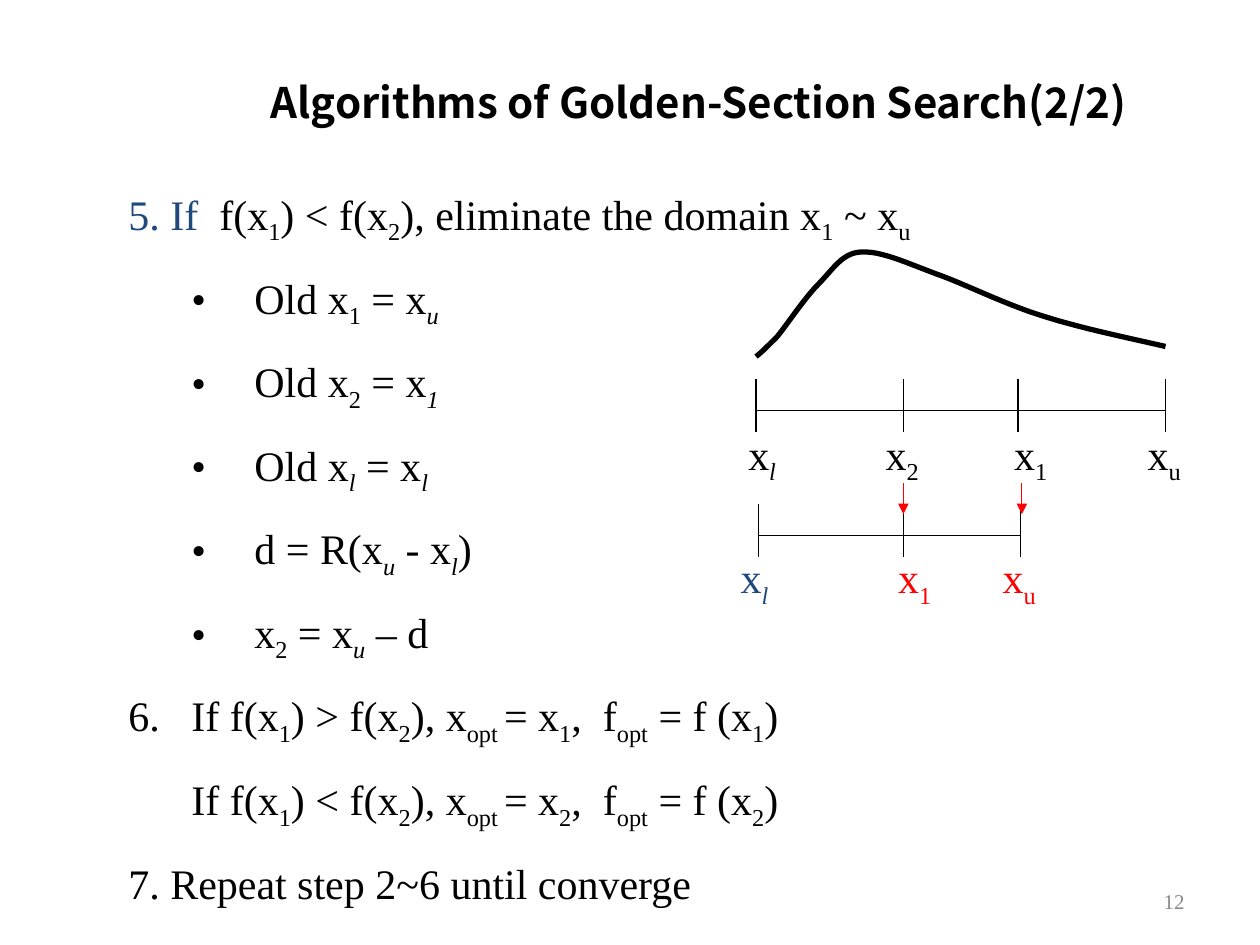
from lxml import etree
from pptx import Presentation, util as u
from pptx.dml.color import RGBColor
from pptx.enum import shapes, text
from pptx.oxml.ns import qn

BLACK, BLUE, RED, GRAY = "000000", "1F497D", "FF0000", "898989"
SERIF = "Times New Roman"


def add_runs(paragraph, markup, color=BLACK, size=24, font=SERIF, bold=False):
    """Add runs; every second part between bars is a subscript, italic after a slash."""
    for index, part in enumerate(markup.split("|")):
        if not part:
            continue
        run = paragraph.add_run()
        run.text = part.lstrip("/") if index % 2 else part
        run.font.name, run.font.size, run.font.bold = font, u.Pt(size), bold
        run.font.color.rgb = RGBColor.from_string(color)
        properties = run._r.get_or_add_rPr()
        etree.SubElement(properties, qn("a:ea")).set("typeface", font)
        if index % 2:
            properties.set("baseline", "-25000")
            run.font.italic = part.startswith("/")


def add_line(x1, y1, x2, y2, color=BLACK, arrow=False):
    line = slide.shapes.add_connector(
        shapes.MSO_CONNECTOR.STRAIGHT, u.Inches(x1), u.Inches(y1), u.Inches(x2), u.Inches(y2))
    line.line.color.rgb = RGBColor.from_string(color)
    line.line.width = u.Pt(0.75)
    if arrow:
        etree.SubElement(line.line._get_or_add_ln(), qn("a:tailEnd")).set("type", "triangle")
    etree.SubElement(line._element.spPr, qn("a:effectLst"))


presentation = Presentation()
presentation.slide_width, presentation.slide_height = u.Inches(10), u.Inches(7.5)
slide = presentation.slides.add_slide(presentation.slide_layouts[6])

# Page number
box = slide.shapes.add_textbox(u.Inches(7.17), u.Inches(6.95), u.Inches(2.33), u.Inches(0.4))
box.text_frame.word_wrap = True
box.text_frame.vertical_anchor = text.MSO_ANCHOR.MIDDLE
box.text_frame.paragraphs[0].alignment = text.PP_ALIGN.RIGHT
add_runs(box.text_frame.paragraphs[0], "12", GRAY, 12)

# Algorithm steps: left margin, first-line indent, bullet, text
steps = [
    (0.5, -0.5, None, "f(x|1|) < f(x|2|), eliminate the domain x|1| ~ x|u|"),
    (1, -0.5, "•", "Old x|1| = x|/u|"),
    (1, -0.5, "•", "Old x|2| = x|/1|"),
    (1, -0.5, "•", "Old x|/l| = x|/l|"),
    (1, -0.5, "•", "d = R(x|/u| - x|/l|)"),
    (1, -0.5, "•", "x|2| = x|/u| – d"),
    (0.5, -0.5, "6", "If f(x|1|) > f(x|2|), x|opt |= x|1|,  f|opt| = f (x|1|)"),
    (0.5, 0, None, "If f(x|1|) < f(x|2|), x|opt |= x|2|,  f|opt| = f (x|2|)"),
    (0.5, -0.5, None, "7. Repeat step 2~6 until converge"),
]
box = slide.shapes.add_textbox(u.Inches(0.92), u.Inches(1.31), u.Inches(8.08), u.Inches(5.95))
box.text_frame.word_wrap = True
for index, (margin, indent, bullet, markup) in enumerate(steps):
    if index == 0:
        paragraph = box.text_frame.paragraphs[0]
        paragraph.line_spacing = 1.3
        add_runs(paragraph, "5. If  ", BLUE)
    else:
        paragraph = box.text_frame.add_paragraph()
        paragraph.space_before = u.Pt(15)
    properties = paragraph._p.get_or_add_pPr()
    properties.set("marL", str(u.Inches(margin)))
    properties.set("indent", str(u.Inches(indent)))
    if bullet == "•":
        properties.set("lvl", "1")
        etree.SubElement(properties, qn("a:buFont")).set("typeface", SERIF)
        etree.SubElement(properties, qn("a:buChar")).set("char", bullet)
    elif bullet:
        number = etree.SubElement(properties, qn("a:buAutoNum"))
        number.set("type", "arabicPeriod")
        number.set("startAt", bullet)
    add_runs(paragraph, markup)

# Interval axes before and after the elimination
for y, ticks in [(3.26, (6, 7.17, 8.08, 9.25)), (4.25, (6.02, 7.17, 8.1))]:
    add_line(ticks[0], y, ticks[-1], y)
    for x in ticks:
        add_line(x, y - 0.25, x, y + 0.17)

# Axis labels
labels = [
    (5.84, 3.35, "x|/l|", BLACK), (6.93, 3.35, "x|2|", BLACK),
    (7.95, 3.35, "x|1|", BLACK), (9.01, 3.35, "x|u|", BLACK),
    (5.78, 4.33, "x|/l|", BLUE), (7.03, 4.33, "x|1|", RED), (7.86, 4.33, "x|u|", RED),
]
for x, y, markup, color in labels:
    width = 0.42 if "/" in markup else 0.46
    box = slide.shapes.add_textbox(u.Inches(x), u.Inches(y), u.Inches(width), u.Inches(0.56))
    box.text_frame.word_wrap = False
    add_runs(box.text_frame.paragraphs[0], markup, color)

# Arrows from the old points to the new ones
for x in (8.11, 7.17):
    add_line(x, 3.83, x, 4.08, RED, arrow=True)

# Function curve, sampled from cubic segments
start = (6, 2.83)
segments = [
    ((6.04, 2.8), (6.08, 2.76), (6.17, 2.67)),
    ((6.25, 2.57), (6.39, 2.36), (6.5, 2.25)),
    ((6.61, 2.14), (6.68, 2.01), (6.83, 2)),
    ((6.99, 1.99), (7.18, 2.08), (7.42, 2.17)),
    ((7.65, 2.25), (7.94, 2.4), (8.25, 2.5)),
    ((8.56, 2.6), (8.9, 2.67), (9.25, 2.75)),
]
builder = slide.shapes.build_freeform(u.Inches(start[0]), u.Inches(start[1]))
points = []
for first, second, end in segments:
    for step in range(1, 13):
        t = step / 12
        points.append(tuple(
            u.Inches((1 - t) ** 3 * a + 3 * (1 - t) ** 2 * t * b
                     + 3 * (1 - t) * t ** 2 * c + t ** 3 * d)
            for a, b, c, d in zip(start, first, second, end)))
    start = end
builder.add_line_segments(points, close=False)
curve = builder.convert_to_shape()
curve.shadow.inherit = False
curve.fill.background()
curve.line.color.rgb = RGBColor.from_string(BLACK)
curve.line.width = u.Pt(3)

# Title
box = slide.shapes.add_textbox(u.Inches(2.05), u.Inches(0.56), u.Inches(7.14), u.Inches(0.5))
box.text_frame.word_wrap = False
add_runs(box.text_frame.paragraphs[0], "Algorithms of Golden-Section Search(2/2)",
         font="Noto Sans CJK KR", bold=True)

presentation.save("out.pptx")
